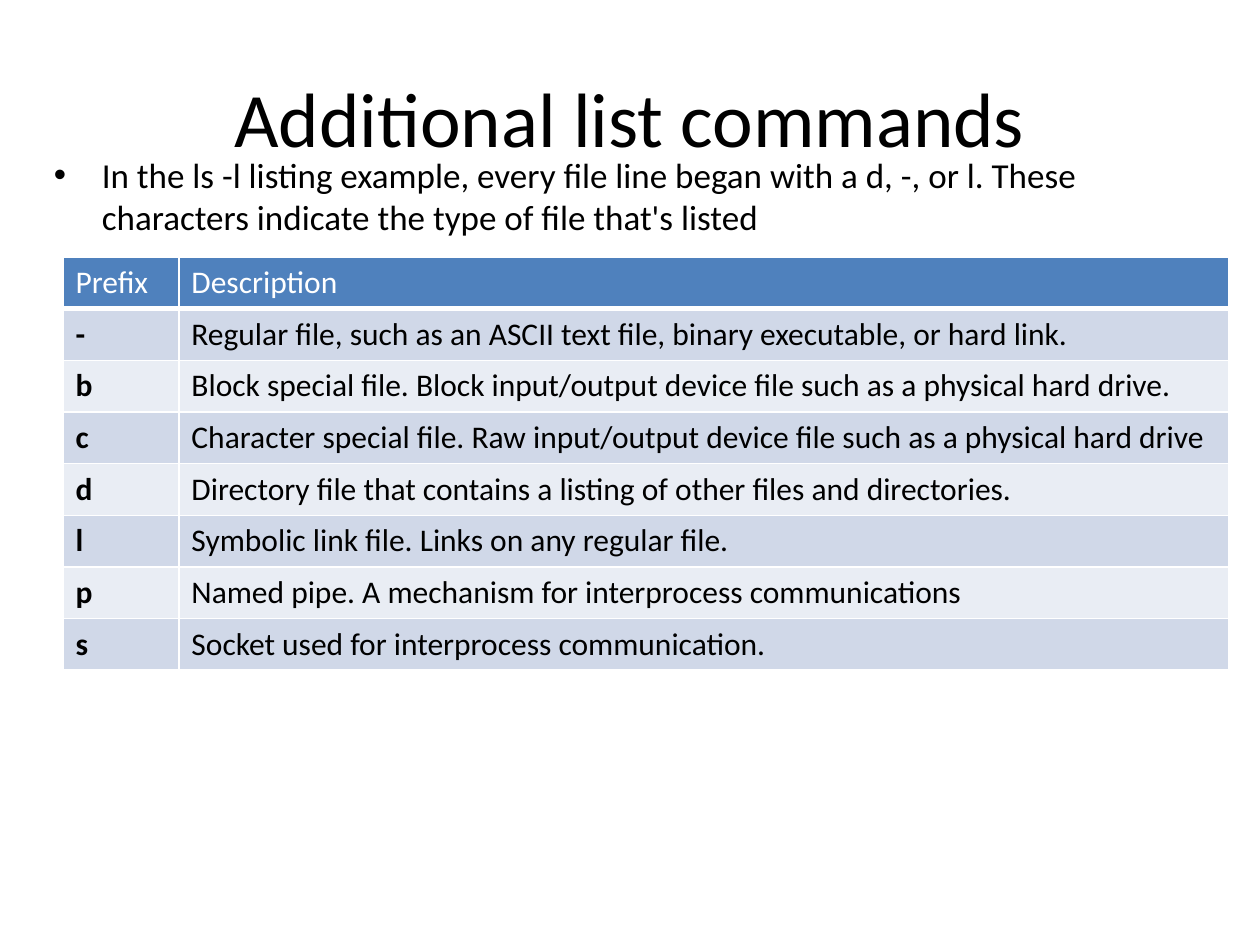
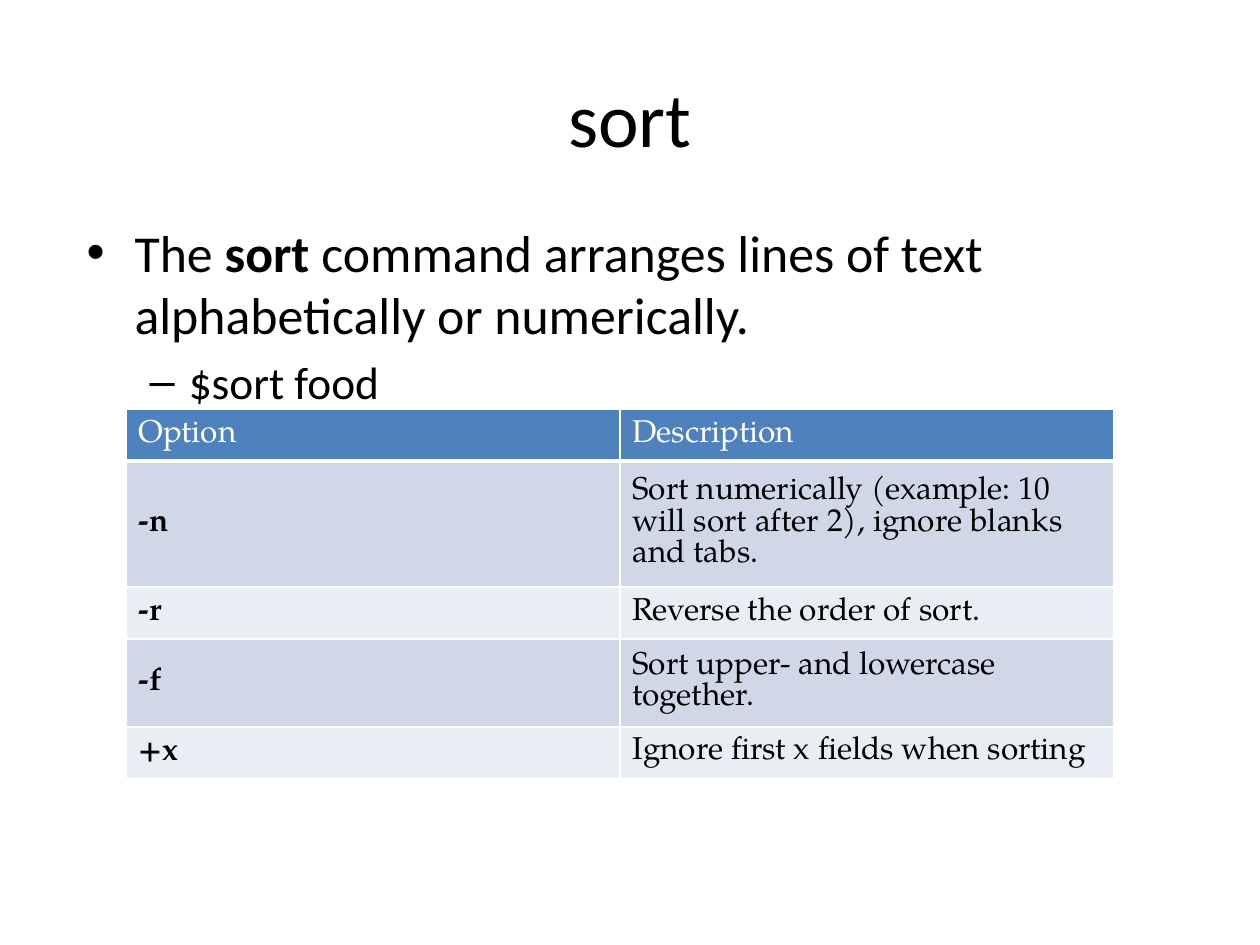
"""Two slides on shell commands: a title, bullets and a banded table each."""
import pptx
import pptx.dml.color
import pptx.enum.text
import pptx.oxml.ns
import pptx.util
from lxml import etree

COLUMNS, ROWS = 10, 7.5          # grid that covers the slide
CELL = pptx.util.Inches(1)       # side of one grid square
SANS, SERIF = "Calibri", "TeX Gyre Pagella"
BLACK, WHITE = "000000", "FFFFFF"
HEADER, BANDS = "4F81BD", ("D0D8E8", "E9EDF4")
TITLE_BOX = (0.5, 0.3, 9, 1.25)
ROW_HEIGHT = 0.41
LEVELS = (("•", 0.38, 0.38), ("–", 0.81, 0.31))  # mark, indent, hanging
MIDDLE = pptx.enum.text.MSO_ANCHOR.MIDDLE

FILE_TYPES = [
    ("Prefix", "Description"),
    ("-", "Regular file, such as an ASCII text file, binary executable, or hard link."),
    ("b", "Block special file. Block input/output device file such as a physical hard drive."),
    ("c", "Character special file. Raw input/output device file such as a physical hard drive"),
    ("d", "Directory file that contains a listing of other files and directories."),
    ("l", "Symbolic link file. Links on any regular file."),
    ("p", "Named pipe. A mechanism for interprocess communications"),
    ("s", "Socket used for interprocess communication."),
]
SORT_OPTIONS = [
    ("Option", "Description"),
    ("-n", "Sort numerically (example: 10 will sort after 2), ignore blanks and tabs."),
    ("-r", "Reverse the order of sort."),
    ("-f", "Sort upper- and lowercase together."),
    ("+x", "Ignore first x fields when sorting"),
]


def grid(*lengths):
    """Turn grid units into slide lengths."""
    return [pptx.util.Emu(round(n * CELL)) for n in lengths]


def rgb(code):
    """Make a colour from a hex string."""
    return pptx.dml.color.RGBColor.from_string(code)


def child(parent, tag, **attrs):
    """Append a DrawingML element."""
    el = etree.SubElement(parent, pptx.oxml.ns.qn(tag))
    for name, value in attrs.items():
        el.set(name, str(value))
    return el


def add_run(p, text, size, font=SANS, color=BLACK, bold=False):
    """Add one formatted run to a paragraph."""
    r = p.add_run()
    r.text = text
    r.font.size = pptx.util.Pt(size)
    r.font.name = font
    r.font.bold = bold
    r.font.color.rgb = rgb(color)


def add_text_frame(slide, box):
    """Add a wrapping text box and return its frame."""
    tf = slide.shapes.add_textbox(*grid(*box)).text_frame
    tf.word_wrap = True
    return tf


def add_title(slide, text):
    """Add the centred slide title."""
    tf = add_text_frame(slide, TITLE_BOX)
    tf.vertical_anchor = MIDDLE
    p = tf.paragraphs[0]
    p.alignment = pptx.enum.text.PP_ALIGN.CENTER
    add_run(p, text, 44)


def add_bullets(slide, box, items):
    """Add bullets given as (level, size, [(text, bold), ...])."""
    tf = add_text_frame(slide, box)
    for i, (level, size, runs) in enumerate(items):
        p = tf.add_paragraph() if i else tf.paragraphs[0]
        p.level = level
        p.space_before = pptx.util.Pt(round(size * 0.2, 1))
        mark, indent, hanging = LEVELS[level]
        indent, hanging = grid(indent, hanging)
        pPr = p._p.get_or_add_pPr()
        pPr.set("marL", str(indent))
        pPr.set("indent", str(-hanging))
        child(pPr, "a:buFont", typeface="Arial")
        child(pPr, "a:buChar", char=mark)
        for text, bold in runs:
            add_run(p, text, size, bold=bold)


def set_borders(cell, bottom):
    """Draw white cell borders, with the bottom one of the given width."""
    tcPr = cell._tc.get_or_add_tcPr()
    for side, width in (("L", 1), ("R", 1), ("T", 1), ("B", bottom)):
        ln = child(tcPr, "a:ln" + side, w=pptx.util.Pt(width))
        child(child(ln, "a:solidFill"), "a:srgbClr", val=WHITE)


def add_table(slide, left, top, widths, rows, font):
    """Add a table with a header row, banded rows and a bold first column."""
    box = grid(left, top, sum(widths), ROW_HEIGHT * len(rows))
    table = slide.shapes.add_table(len(rows), len(widths), *box).table
    for column, width in zip(table.columns, grid(*widths)):
        column.width = width
    for i, row in enumerate(rows):
        table.rows[i].height = grid(ROW_HEIGHT)[0]
        is_header = i == 0
        for j, text in enumerate(row):
            cell = table.cell(i, j)
            set_borders(cell, 3 if is_header else 1)
            cell.fill.solid()
            cell.fill.fore_color.rgb = rgb(HEADER if is_header else BANDS[(i - 1) % 2])
            cell.vertical_anchor = MIDDLE
            add_run(cell.text_frame.paragraphs[0], text, 18, font,
                    WHITE if is_header else BLACK, bold=j == 0 and not is_header)


def add_slide(prs, title):
    """Add a blank slide with a title."""
    slide = prs.slides.add_slide(prs.slide_layouts[6])
    add_title(slide, title)
    return slide


def main():
    """Build and save the slides."""
    prs = pptx.Presentation()
    prs.slide_width, prs.slide_height = grid(COLUMNS, ROWS)

    slide = add_slide(prs, "Additional list commands")
    add_bullets(slide, (0.33, 1.17, 8.92, 1), [
        (0, 20, [("In the ls -l listing example, every file line began with a d, -, or l. "
                  "These characters indicate the type of file that's listed", False)]),
    ])
    add_table(slide, 0.5, 2.04, (0.92, 8.33), FILE_TYPES, SANS)

    slide = add_slide(prs, "sort")
    add_bullets(slide, (0.59, 1.7, 9, 1.55), [
        (0, 29.6, [("The ", False), ("sort", True),
                   (" command arranges lines of text alphabetically or numerically.", False)]),
        (1, 25.9, [("$sort food", False)]),
    ])
    add_table(slide, 1, 3.25, (3.92, 3.92), SORT_OPTIONS, SERIF)

    prs.save("out.pptx")


main()
